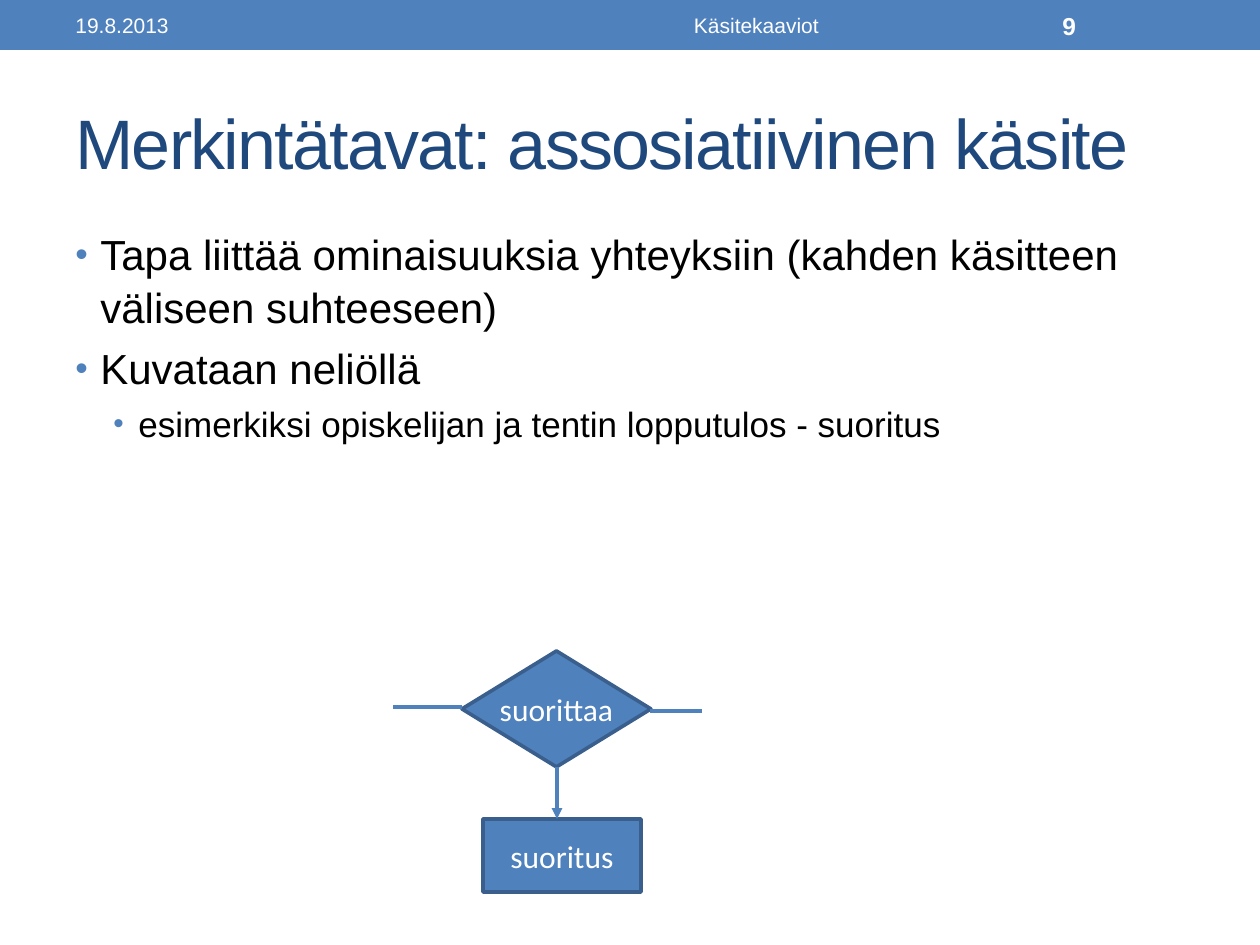
from pptx import Presentation
from pptx.util import Emu, Pt
from pptx.dml.color import RGBColor
from pptx.enum.shapes import MSO_CONNECTOR, MSO_SHAPE
from pptx.enum.text import MSO_ANCHOR, PP_ALIGN
from pptx.oxml.ns import qn
from lxml.etree import SubElement

PX = 914400 // 126
BLUE, EDGE, NAVY, WHITE = "4F81BD", "3A5F8C", "1F497D", "FFFFFF"


def color(value):
    return RGBColor.from_string(value)


def write(p, text, size=12, font="Arial", fill=WHITE, bold=False, align=PP_ALIGN.LEFT):
    p.alignment = align
    r = p.add_run()
    r.text = text
    r.font.size = Pt(size)
    r.font.name = font
    r.font.bold = bold
    r.font.color.rgb = color(fill)
    return r


prs = Presentation()
prs.slide_width, prs.slide_height = Emu(1260 * PX), Emu(945 * PX)
s = prs.slides.add_slide(prs.slide_layouts[6])

band = s.shapes.add_shape(MSO_SHAPE.RECTANGLE, 0, 0, 1260 * PX, 50 * PX)
band.shadow.inherit = False
band.fill.solid()
band.fill.fore_color.rgb = color(BLUE)
band.line.fill.background()

texts = [
    ((63, 73, 1134, 136), "Merkintätavat: assosiatiivinen käsite", dict(size=40, fill=NAVY)),
    ((63, 3, 399, 45), "19.8.2013", {}),
    ((473, 3, 567, 45), "Käsitekaaviot", dict(align=PP_ALIGN.CENTER)),
    ((1050, 3, 147, 45), "9", dict(size=14, bold=True)),
]
for box, text, style in texts:
    tf = s.shapes.add_textbox(*[v * PX for v in box]).text_frame
    tf.word_wrap = True
    tf.vertical_anchor = MSO_ANCHOR.MIDDLE
    r = write(tf.paragraphs[0], text, **style)
    if style.get("size") == 40:
        r.font._element.set("spc", "-100")

tf = s.shapes.add_textbox(63 * PX, 220 * PX, 1134 * PX, 672 * PX).text_frame
tf.word_wrap = True
bullets = [
    (0, 24, "Tapa liittää ominaisuuksia yhteyksiin (kahden käsitteen väliseen suhteeseen)"),
    (0, 24, "Kuvataan neliöllä"),
    (1, 20, "esimerkiksi opiskelijan ja tentin lopputulos - suoritus"),
]
for i, (level, size, text) in enumerate(bullets):
    p = tf.add_paragraph() if i else tf.paragraphs[0]
    write(p, text, size=size, fill="000000")
    p.level = level
    p.space_before = Pt(size * 0.2)
    p.line_spacing = 1.05
    pPr = p._p.get_or_add_pPr()
    pPr.set("marL", str((25 + 38 * level) * PX))
    pPr.set("indent", str(-25 * PX))
    SubElement(SubElement(pPr, qn("a:buClr")), qn("a:srgbClr")).set("val", BLUE)
    SubElement(pPr, qn("a:buSzPct")).set("val", "85000")
    SubElement(pPr, qn("a:buFont")).set("typeface", "Arial")
    SubElement(pPr, qn("a:buChar")).set("char", "•")

nodes = [
    (MSO_SHAPE.FLOWCHART_DECISION, (462, 651, 189, 116), "suorittaa"),
    (MSO_SHAPE.FLOWCHART_PROCESS, (483, 819, 158, 73), "suoritus"),
]
for kind, box, text in nodes:
    sp = s.shapes.add_shape(kind, *[v * PX for v in box])
    sp.shadow.inherit = False
    sp.fill.solid()
    sp.fill.fore_color.rgb = color(BLUE)
    sp.line.color.rgb = color(EDGE)
    sp.line.width = Pt(2.08)
    tf = sp.text_frame
    tf.word_wrap = False
    tf.vertical_anchor = MSO_ANCHOR.MIDDLE
    write(tf.paragraphs[0], text, size=18, font="Calibri", align=PP_ALIGN.CENTER)

links = [
    ((462, 707, 393, 707), False),
    ((702, 711, 650, 711), False),
    ((557, 767, 557, 819), True),
]
for ends, arrow in links:
    link = s.shapes.add_connector(MSO_CONNECTOR.STRAIGHT, *[v * PX for v in ends])
    link.line.color.rgb = color(BLUE)
    link.line.width = Pt(2.08)
    if arrow:
        SubElement(link.line._get_or_add_ln(), qn("a:tailEnd")).set("type", "triangle")
    SubElement(link._element.spPr, qn("a:effectLst"))

prs.save("out.pptx")
